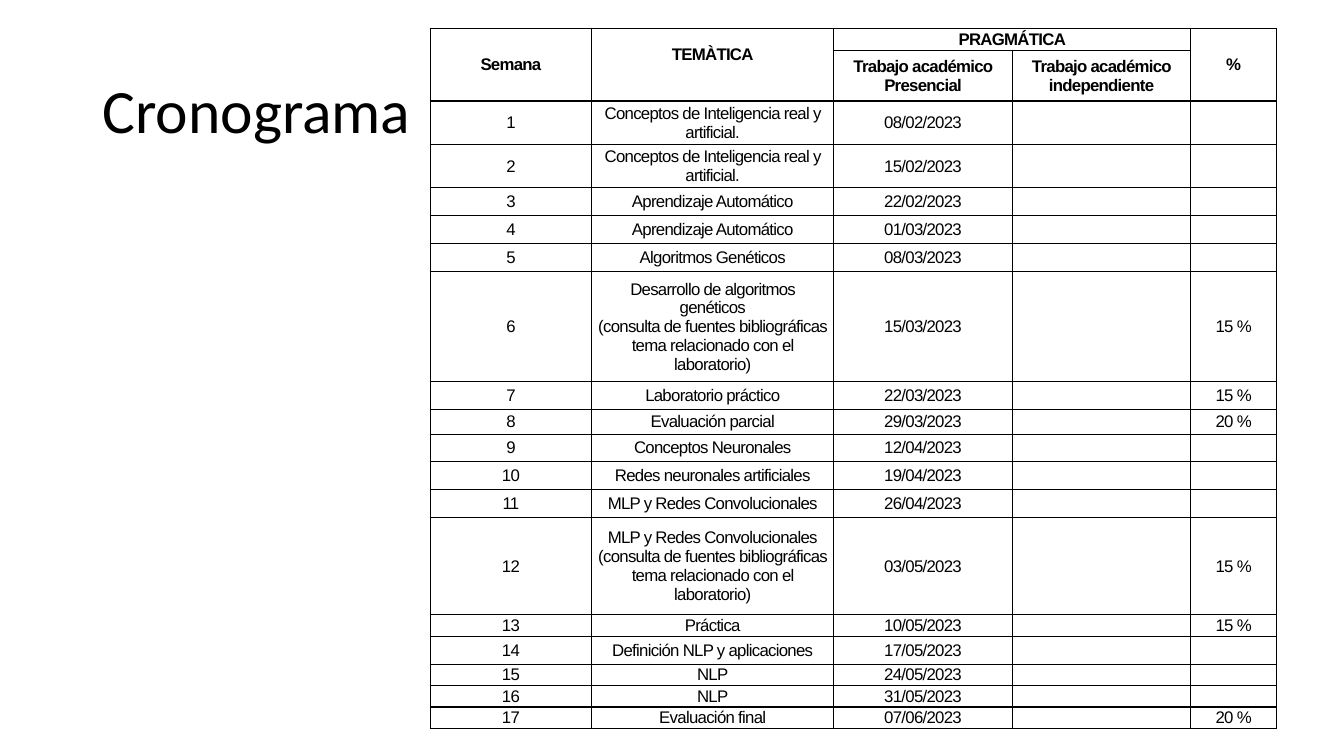
"""Build the course schedule slide: a title beside a weekly timetable."""
from dataclasses import dataclass

from lxml import etree
from pptx import Presentation
from pptx.dml.color import RGBColor
from pptx.enum import text
from pptx.oxml.ns import qn
from pptx.util import Pt

BLACK = "000000"
COLUMN_WIDTHS = (115.3, 173, 127.5, 127.5, 61.3)
HEADER_HEIGHTS = (16, 36)
LAB_NOTE = "(consulta de fuentes bibliográficas tema relacionado con el laboratorio)"


@dataclass(frozen=True)
class Week:
    topic: str
    date: str
    height: float = 20
    weight: str = ""


@dataclass(frozen=True)
class Heading:
    row: int
    column: int
    label: str
    last_row: int
    last_column: int
    bottom: float = 0


HEADINGS = (
    Heading(0, 0, "Semana", 1, 0),
    Heading(0, 1, "TEMÀTICA", 1, 1, bottom=14),
    Heading(0, 2, "PRAGMÁTICA", 0, 3),
    Heading(0, 4, "%", 1, 4),
    Heading(1, 2, "Trabajo académico Presencial", 1, 2),
    Heading(1, 3, "Trabajo académico independiente", 1, 3),
)

WEEKS = (
    Week("Conceptos de Inteligencia real y artificial.", "08/02/2023", 31),
    Week("Conceptos de Inteligencia real y artificial.", "15/02/2023", 31),
    Week("Aprendizaje Automático", "22/02/2023"),
    Week("Aprendizaje Automático", "01/03/2023"),
    Week("Algoritmos Genéticos", "08/03/2023"),
    Week(f"Desarrollo de algoritmos genéticos\n{LAB_NOTE}", "15/03/2023", 78.6, "15 %"),
    Week("Laboratorio práctico", "22/03/2023", weight="15 %"),
    Week("Evaluación parcial", "29/03/2023", 17.6, "20 %"),
    Week("Conceptos Neuronales", "12/04/2023", 19.6),
    Week("Redes neuronales artificiales", "19/04/2023"),
    Week("MLP y Redes Convolucionales", "26/04/2023"),
    Week(f"MLP y Redes Convolucionales\n{LAB_NOTE}", "03/05/2023", 69.4, "15 %"),
    Week("Práctica", "10/05/2023", 15.4, "15 %"),
    Week("Definición NLP y aplicaciones", "17/05/2023"),
    Week("NLP", "24/05/2023", 15.2),
    Week("NLP", "31/05/2023", 15.2),
    Week("Evaluación final", "07/06/2023", 15.4, "20 %"),
)


def style_font(font, name: str, size: float, color: str, bold: bool = False) -> None:
    font.name, font.size, font.bold = name, Pt(size), bold
    font.color.rgb = RGBColor.from_string(color)


def draw_borders(cell, color: str, width: float) -> None:
    properties = cell._tc.get_or_add_tcPr()
    for side in ("a:lnL", "a:lnR", "a:lnT", "a:lnB"):
        line = etree.SubElement(properties, qn(side), w=str(Pt(width)))
        fill = etree.SubElement(line, qn("a:solidFill"))
        etree.SubElement(fill, qn("a:srgbClr"), val=color)


def format_cell(cell) -> None:
    draw_borders(cell, BLACK, 1)
    cell.fill.background()
    cell.margin_left = cell.margin_right = Pt(3)
    cell.margin_top = cell.margin_bottom = 0
    cell.vertical_anchor = text.MSO_ANCHOR.MIDDLE


def write_cell(cell, content: str, bold: bool = False) -> None:
    cell.text = content
    for para in cell.text_frame.paragraphs:
        para.alignment = text.PP_ALIGN.CENTER
        style_font(para.font, "Arial", 12, BLACK, bold)
        for span in para.runs:
            span._r.get_or_add_rPr().set("spc", "-50")
        if not para.runs:
            etree.SubElement(para._p, qn("a:endParaRPr"), sz="1200")


def add_title(page) -> None:
    title = page.shapes.title
    title.left, title.top, title.width, title.height = Pt(66), Pt(28.8), Pt(828), Pt(104.4)
    frame = title.text_frame
    frame.text = "Cronograma"
    frame.auto_size = text.MSO_AUTO_SIZE.NONE
    frame.vertical_anchor = text.MSO_ANCHOR.MIDDLE
    para = frame.paragraphs[0]
    para.alignment, para.line_spacing = text.PP_ALIGN.LEFT, 0.9
    style_font(para.font, "Calibri", 44, BLACK)


def add_schedule(page) -> None:
    heights = (*HEADER_HEIGHTS, *(week.height for week in WEEKS))
    table = page.shapes.add_table(
        len(heights), len(COLUMN_WIDTHS),
        Pt(307.3), Pt(20.2), Pt(sum(COLUMN_WIDTHS)), Pt(sum(heights)),
    ).table
    table.first_row = table.horz_banding = False
    for column, width in zip(table.columns, COLUMN_WIDTHS):
        column.width = Pt(width)
    for row, height in zip(table.rows, heights):
        row.height = Pt(height)
    for cell in table.iter_cells():
        format_cell(cell)
        write_cell(cell, "")
    for heading in HEADINGS:
        cell = table.cell(heading.row, heading.column)
        last = table.cell(heading.last_row, heading.last_column)
        if (heading.row, heading.column) != (heading.last_row, heading.last_column):
            cell.merge(last)
        cell.margin_bottom = Pt(heading.bottom)
        write_cell(cell, heading.label, bold=True)
    for number, week in enumerate(WEEKS, start=1):
        values = (str(number), week.topic, week.date, "", week.weight)
        for column, value in enumerate(values):
            if value:
                write_cell(table.cell(number + 1, column), value)


def main() -> None:
    deck = Presentation()
    deck.slide_width, deck.slide_height = Pt(960), Pt(540)
    page = deck.slides.add_slide(deck.slide_layouts.get_by_name("Title Only"))
    add_title(page)
    add_schedule(page)
    deck.save("out.pptx")


if __name__ == "__main__":
    main()
